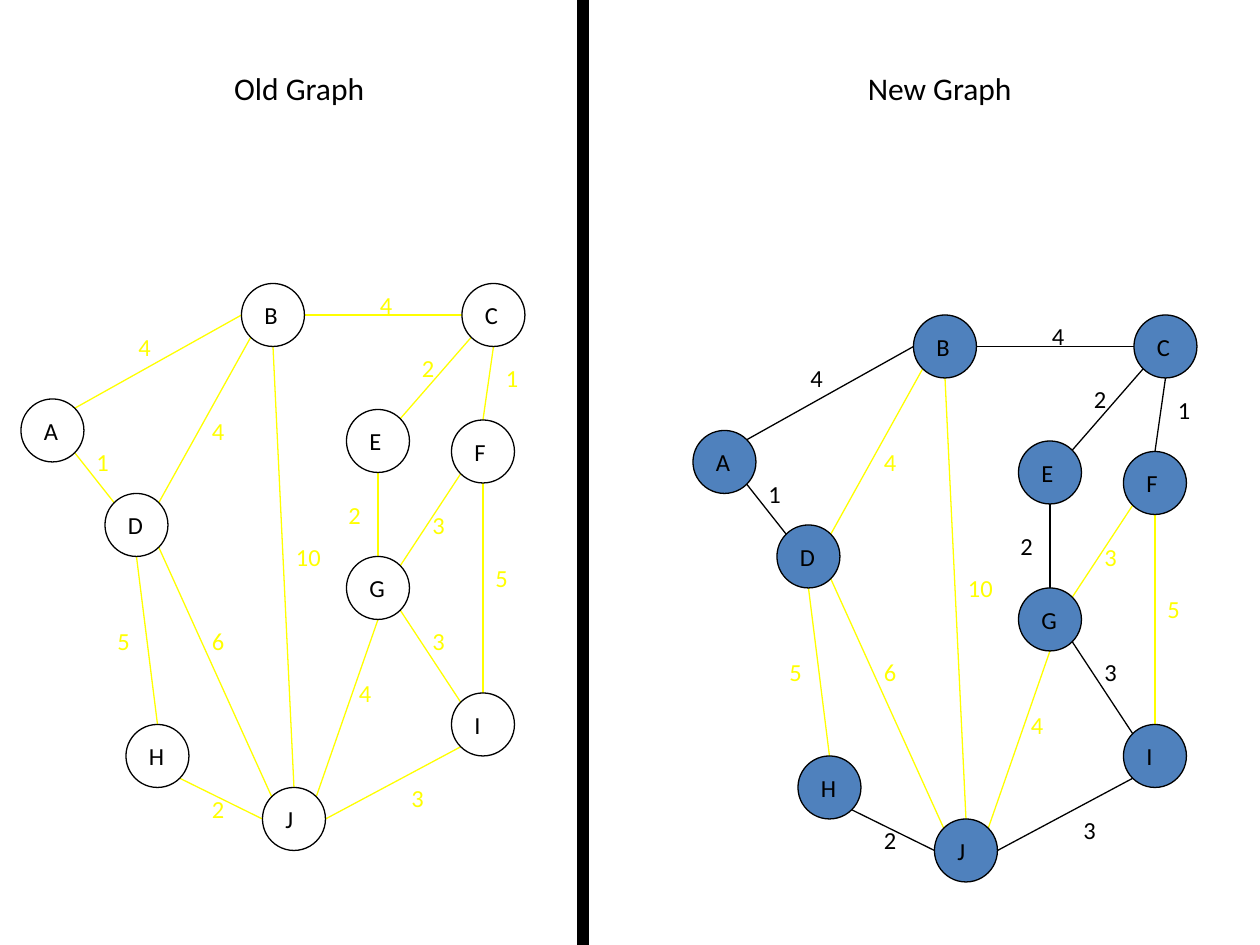
import math

import pptx
import pptx.dml.color
import pptx.enum.shapes
import pptx.enum.text
import pptx.oxml.ns
import pptx.util
from lxml import etree

# Grid: the slide is 120 columns by 90 rows, 12 to the inch
UNIT = pptx.util.Inches(1) / 12
COLUMNS, ROWS = 120, 90
NODE_SIZE = 6
BLACK, YELLOW, BLUE = "000000", "FFFF00", "4F81BD"

# Column and row of each node's top left corner
NODES = {
    "A": (2, 38), "B": (23, 27), "C": (44, 27), "D": (10, 47), "E": (33, 39),
    "F": (43, 40), "G": (33, 53), "H": (12, 69), "I": (43, 66), "J": (25, 75),
}

# Start, side left, end, side entered, weight, column and row of the weight
EDGES = [
    ("B", "E", "C", "W", 4, 35, 27),
    ("B", "SW", "D", "NE", 4, 19, 39),
    ("D", "SE", "J", "NW", 6, 19, 59),
    ("J", "NE", "G", "S", 4, 33, 64),
    ("F", "SW", "G", "NE", 3, 40, 48),
    ("E", "S", "G", "N", 2, 32, 47),
    ("B", "S", "J", "N", 10, 27, 51),
    ("C", "SW", "E", "NE", 2, 39, 33),
    ("C", "S", "F", "N", 1, 47, 34),
    ("J", "E", "I", "SW", 3, 38, 74),
    ("J", "W", "H", "SE", 2, 19, 75),
    ("D", "NW", "A", "SE", 1, 8, 42),
    ("I", "NW", "G", "SE", 3, 40, 59),
    ("F", "S", "I", "N", 5, 46, 53),
    ("A", "NE", "B", "W", 4, 12, 31),
    ("D", "S", "H", "N", 5, 10, 59),
]
TREE = {"BC", "EG", "CE", "CF", "JI", "JH", "DA", "IG", "AB"}

# Angles of the compass sides, clockwise from east
SIDES = ["E", "SE", "S", "SW", "W", "NW", "N", "NE"]

# Label widths in inches that differ from the usual letter
LABEL_WIDTHS = {"10": 0.4, "E": 0.32, "F": 0.31, "I": 0.27, "J": 0.28}


def color(value):
    return pptx.dml.color.RGBColor.from_string(value)


def grid(*values):
    return [round(value * UNIT) for value in values]


def apply_format(target, values):
    for name, value in values.items():
        setattr(target, name, value)


def add_outlined_shape(slide, kind, box, fill=None):
    shape = slide.shapes.add_shape(kind, *grid(*box))
    shape.shadow.inherit = False
    if fill:
        shape.fill.solid()
        shape.fill.fore_color.rgb = color(fill)
    else:
        shape.fill.background()
    shape.line.color.rgb = color(BLACK)
    shape.line.width = pptx.util.Pt(0.75)


def add_text(slide, text, left, top, width, height, size, text_color, **layout):
    shape = slide.shapes.add_textbox(*grid(left, top, width, height))
    apply_format(shape.text_frame, {
        "word_wrap": layout.get("wrap", False),
        "auto_size": pptx.enum.text.MSO_AUTO_SIZE.SHAPE_TO_FIT_TEXT,
    })
    paragraph = shape.text_frame.paragraphs[0]
    paragraph.alignment = layout.get("alignment")
    run = paragraph.add_run()
    run.text = text
    apply_format(run.font, {"name": "Calibri", "size": pptx.util.Pt(size)})
    run.font.color.rgb = color(text_color)


def add_label(slide, text, left, top, text_color):
    usual = 0.3 if text.isdigit() else 0.34
    width = 12 * LABEL_WIDTHS.get(text, usual)
    add_text(slide, text, left, top, width, 4, 14, text_color)


def node_side(name, side, offset):
    """Point on the rim of a node, in columns and rows."""
    angle = SIDES.index(side) * math.pi / 4
    radius = NODE_SIZE / 2
    column, row = NODES[name]
    return (column + offset[0] + radius + radius * math.cos(angle),
            row + offset[1] + radius + radius * math.sin(angle))


def add_edge(slide, start, end, line_color):
    connector = slide.shapes.add_connector(
        pptx.enum.shapes.MSO_CONNECTOR.STRAIGHT, *grid(*start, *end))
    connector.line.color.rgb = color(line_color)
    connector.line.width = pptx.util.Pt(0.75)
    properties = connector.element.spPr
    etree.SubElement(properties, pptx.oxml.ns.qn("a:effectLst"))


def add_graph(slide, offset, fill=None, tree=()):
    for start, start_side, end, end_side, weight, column, row in EDGES:
        edge_color = BLACK if start + end in tree else YELLOW
        add_edge(slide, node_side(start, start_side, offset),
                 node_side(end, end_side, offset), edge_color)
        add_label(slide, str(weight), column + offset[0], row + offset[1],
                  edge_color)
    for name, (column, row) in NODES.items():
        left, top = column + offset[0], row + offset[1]
        add_outlined_shape(slide, pptx.enum.shapes.MSO_SHAPE.OVAL,
                           (left, top, NODE_SIZE, NODE_SIZE), fill)
        add_label(slide, name, left + 1, top + 1, BLACK)


def add_title(slide, text, left):
    add_text(slide, text, left, 6, 35, 6, 18, BLACK, wrap=True,
             alignment=pptx.enum.text.PP_ALIGN.CENTER)


def main():
    presentation = pptx.Presentation()
    width, height = grid(COLUMNS, ROWS)
    apply_format(presentation, {"slide_width": width, "slide_height": height})
    slide = presentation.slides.add_slide(presentation.slide_layouts[6])

    # Left half: the graph with all edges
    add_title(slide, "Old Graph", 11)
    add_graph(slide, (0, 0))

    # Divider
    add_outlined_shape(slide, pptx.enum.shapes.MSO_SHAPE.RECTANGLE,
                       (55, 0, 1, ROWS), BLACK)

    # Right half: the spanning tree in black
    add_title(slide, "New Graph", 72)
    add_graph(slide, (64, 3), BLUE, TREE)

    presentation.save("out.pptx")


if __name__ == "__main__":
    main()
